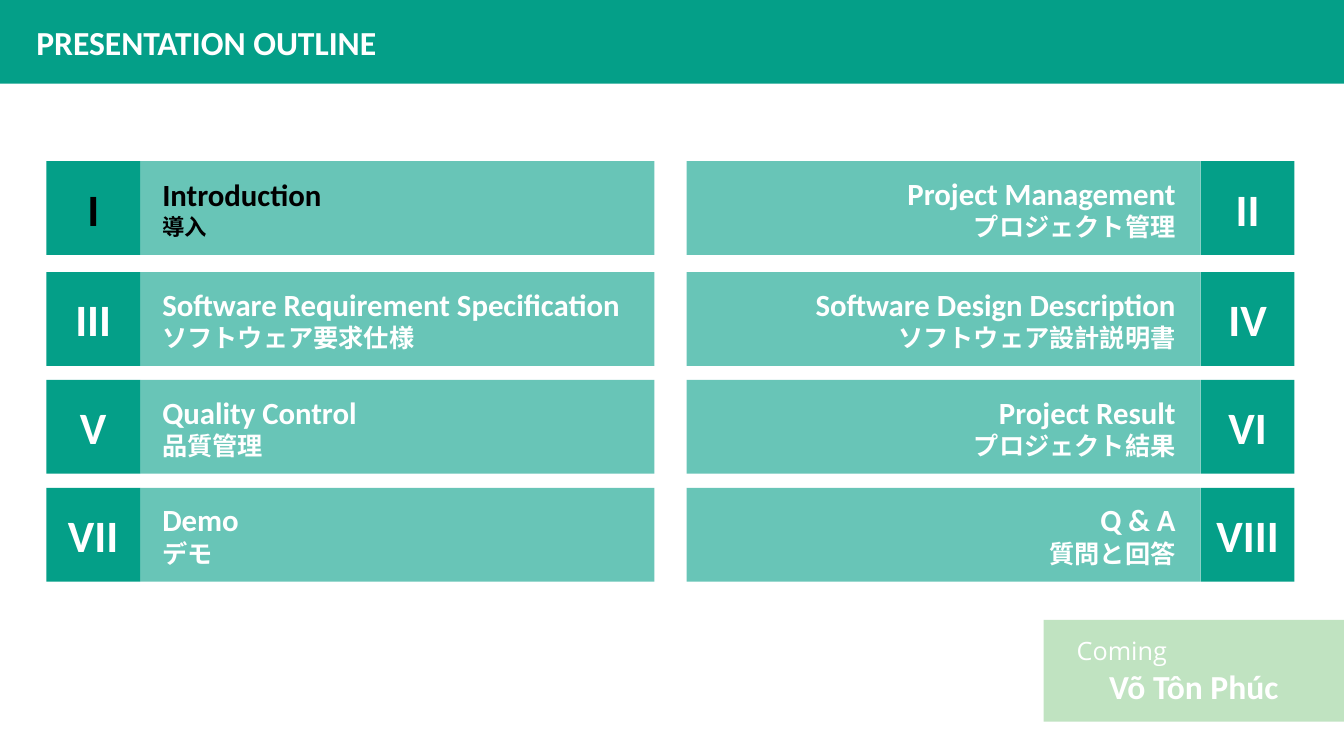
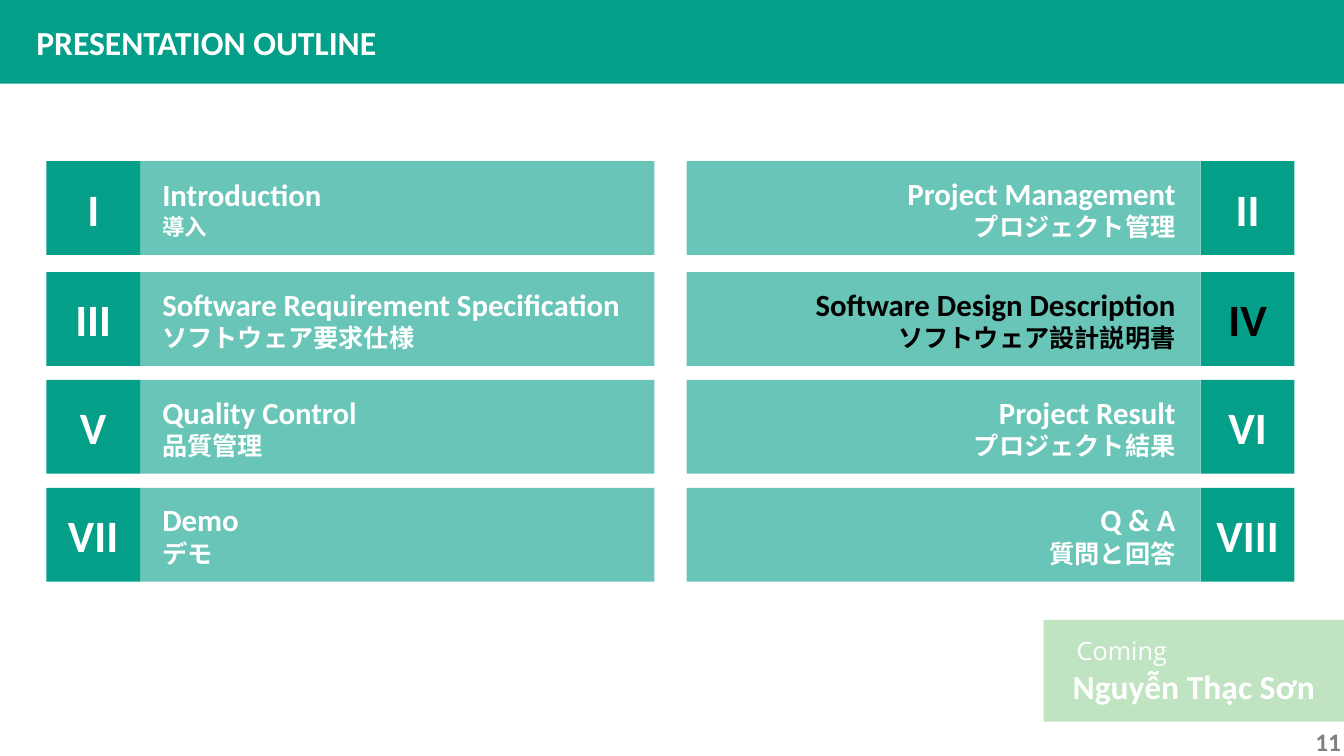
"""Build two outline slides, each marking the section that comes next."""
from lxml import etree
from pptx import Presentation
from pptx.dml.color import RGBColor
from pptx.enum.shapes import MSO_SHAPE
from pptx.enum.text import MSO_ANCHOR, MSO_AUTO_SIZE, PP_ALIGN
from pptx.oxml.ns import qn
from pptx.util import Inches, Pt

COLORS = {"teal": "049F88", "green": "4CAF50", "white": "FFFFFF",
          "black": "000000", "gray": "808080"}
HEAD, JAPANESE, LIGHT = "Calibri", "Times New Roman", "Open Sans"
WIDTH, HEIGHT = 13.33, 7.5
TILE, PANEL = 0.93, 5.1
LEFT, RIGHT = 0.46, 6.81
ROWS = [1.6, 2.7, 3.77, 4.84]
SECTIONS = [
    ("I", "Introduction", "導入", 16),
    ("II", "Project Management", "プロジェクト管理", 18),
    ("III", "Software Requirement Specification", "ソフトウェア要求仕様", 18),
    ("IV", "Software Design Description", "ソフトウェア設計説明書", 18),
    ("V", "Quality Control", "品質管理", 18),
    ("VI", "Project Result", "プロジェクト結果", 18),
    ("VII", "Demo", "デモ", 18),
    ("VIII", "Q & A", "質問と回答", 18),
]
SLIDES = [("I", "Võ Tôn Phúc", None), ("IV", "Nguyễn Thạc Sơn", "11")]


class Deck:
    """Hold the shared style and the current slide."""

    def __init__(self):
        self.prs = Presentation()
        self.prs.slide_width, self.prs.slide_height = Inches(WIDTH), Inches(HEIGHT)
        self.s = None

    def add_slide(self, title):
        """Start a slide whose title fills the top band."""
        self.s = self.prs.slides.add_slide(self.prs.slide_layouts[5])
        sp = self.s.shapes.title
        sp.left, sp.top = Inches(0), Inches(0)
        sp.width, sp.height = Inches(WIDTH), Inches(0.83)
        self.fill(sp, "teal")
        self.frame(sp, 0.36, 0.36)
        self.add_text(sp.text_frame.paragraphs[0], title, 24)

    def fill(self, sp, color, alpha=None):
        """Fill a shape, with an opacity in percent if one is given."""
        sp.fill.solid()
        sp.fill.fore_color.rgb = RGBColor.from_string(COLORS[color])
        if alpha:
            clr = sp.element.spPr.find(qn("a:solidFill"))[0]
            etree.SubElement(clr, qn("a:alpha")).set("val", str(alpha * 1000))

    def frame(self, sp, left=0, right=0, wrap=True):
        """Set the insets and middle anchor of a text frame."""
        tf = sp.text_frame
        tf.auto_size, tf.word_wrap = MSO_AUTO_SIZE.NONE, wrap
        tf.vertical_anchor = MSO_ANCHOR.MIDDLE
        tf.margin_left, tf.margin_right = Inches(left), Inches(right)
        tf.margin_top = tf.margin_bottom = Inches(0)

    def add_text(self, p, text, size, color="white", font=HEAD, bold=True,
                 align=PP_ALIGN.LEFT):
        """Add one styled run to a paragraph."""
        p.alignment = align
        r = p.add_run()
        r.text = text
        r.font.name, r.font.size, r.font.bold = font, Pt(size), bold
        r.font.color.rgb = RGBColor.from_string(COLORS[color])

    def box(self, x, y, w, h, color, alpha=None):
        """Add a plain filled rectangle."""
        sp = self.s.shapes.add_shape(MSO_SHAPE.RECTANGLE, Inches(x), Inches(y),
                                     Inches(w), Inches(h))
        sp.shadow.inherit = False
        sp.line.fill.background()
        self.fill(sp, color, alpha)
        return sp

    def section(self, index, current):
        """Add a numeral tile and its two-language panel."""
        numeral, name, japanese, size = SECTIONS[index]
        row, on_right = divmod(index, 2)
        y = ROWS[row]
        color = "black" if numeral == current else "white"
        align = PP_ALIGN.RIGHT if on_right else PP_ALIGN.LEFT
        tile_x = RIGHT + PANEL if on_right else LEFT
        panel_x = RIGHT if on_right else LEFT + TILE

        tile = self.box(tile_x, y, TILE, TILE, "teal")
        self.frame(tile, wrap=False)
        self.add_text(tile.text_frame.paragraphs[0], numeral, 32, color,
                      align=PP_ALIGN.CENTER)

        panel = self.box(panel_x, y, PANEL, TILE, "teal", 60)
        self.frame(panel, 0.22, 0.25)
        tf = panel.text_frame
        self.add_text(tf.paragraphs[0], name, 22, color, align=align)
        self.add_text(tf.add_paragraph(), japanese, size, color, JAPANESE,
                      align=align)

    def coming(self, speaker):
        """Add the card that names the next speaker."""
        card = self.box(10.35, 6.15, 2.98, 1.01, "green", 35)
        self.frame(card, 0.1, 0.1)
        p = card.text_frame.paragraphs[0]
        p._p.get_or_add_pPr().set("marL", str(Inches(0.23)))
        self.add_text(p, "Coming", 18, font=LIGHT, bold=False)
        self.add_text(card.text_frame.add_paragraph(), speaker, 24,
                      align=PP_ALIGN.CENTER)

    def page_number(self, number):
        """Add the page number in the bottom corner."""
        tb = self.s.shapes.add_textbox(Inches(12.83), Inches(7.16),
                                       Inches(0.5), Inches(0.4))
        self.frame(tb, 0, 0.03)
        self.add_text(tb.text_frame.paragraphs[0], number, 18, "gray",
                      align=PP_ALIGN.RIGHT)


def main():
    """Build and save the deck."""
    deck = Deck()
    for current, speaker, number in SLIDES:
        deck.add_slide("PRESENTATION OUTLINE")
        for index in range(len(SECTIONS)):
            deck.section(index, current)
        deck.coming(speaker)
        if number:
            deck.page_number(number)
    deck.prs.save("out.pptx")


if __name__ == "__main__":
    main()
